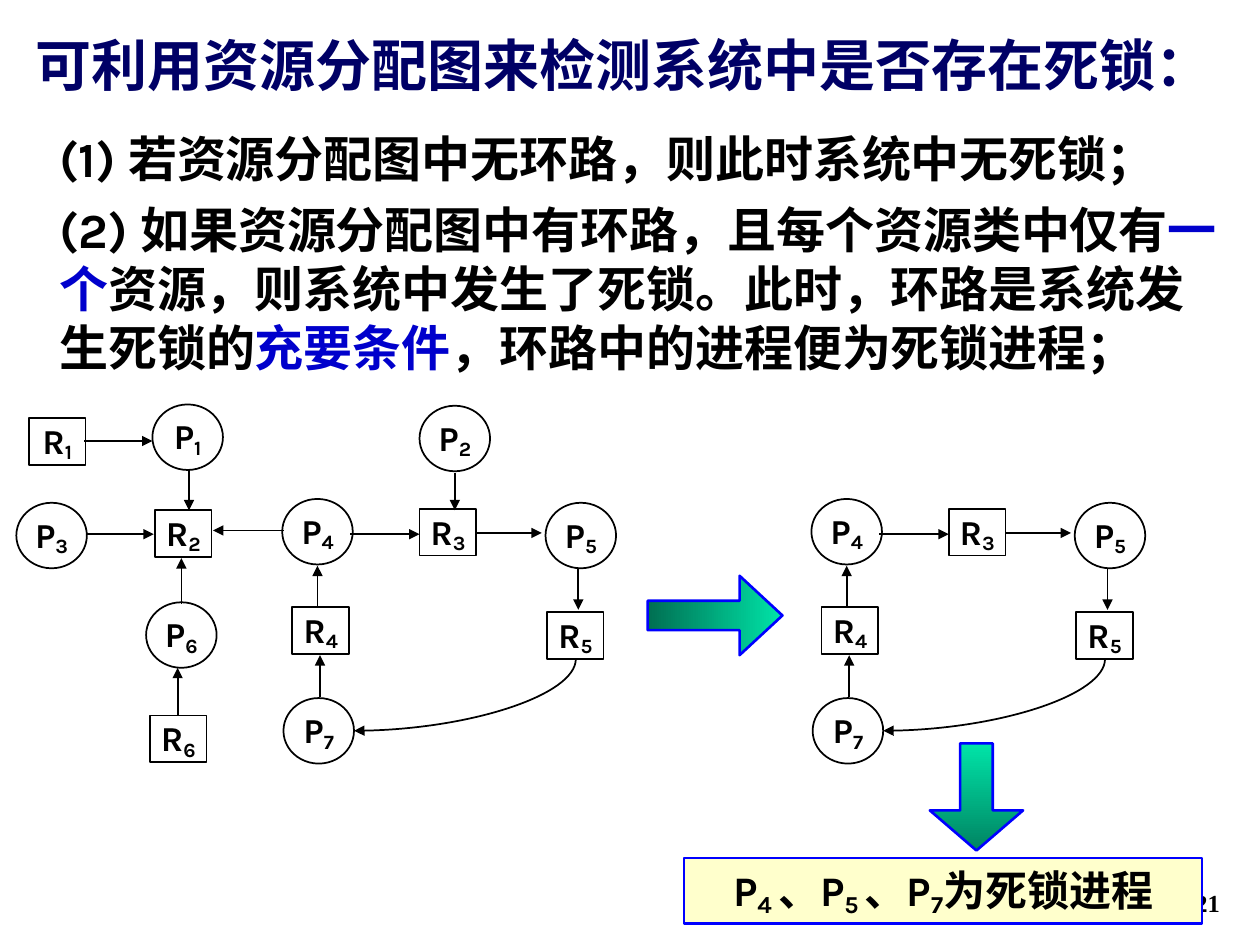
from lxml import etree
from pptx import Presentation
from pptx.dml.color import RGBColor
from pptx.enum.shapes import MSO_CONNECTOR, MSO_SHAPE
from pptx.enum.text import MSO_ANCHOR, MSO_AUTO_SIZE, PP_ALIGN
from pptx.oxml.ns import qn
from pptx.util import Inches, Pt

RECTANGLE, ELLIPSE = MSO_SHAPE.RECTANGLE, MSO_SHAPE.OVAL
RIGHT_ARROW, DOWN_ARROW = MSO_SHAPE.RIGHT_ARROW, MSO_SHAPE.DOWN_ARROW
STRAIGHT, CURVE = MSO_CONNECTOR.STRAIGHT, MSO_CONNECTOR.CURVE
TOP, MIDDLE, BOTTOM = MSO_ANCHOR.TOP, MSO_ANCHOR.MIDDLE, MSO_ANCHOR.BOTTOM
LEFT, CENTER, RIGHT = PP_ALIGN.LEFT, PP_ALIGN.CENTER, PP_ALIGN.RIGHT
NO_AUTOFIT = MSO_AUTO_SIZE.NONE

BLACK, NAVY, BLUE, BORDER = "000000", "000066", "0000CC", "0000FF"

NODES = {
    "R1": (0.23, 3.32), "P1": (1.21, 3.21), "R2": (1.23, 4.05),
    "P2": (3.33, 3.22), "P3": (0.13, 3.99), "P4": (2.24, 3.96),
    "P5": (4.33, 3.99), "P6": (1.16, 4.78), "R3": (3.33, 4.04),
    "R4": (2.32, 4.82), "R5": (4.34, 4.86), "R6": (1.19, 5.68),
    "P7": (2.25, 5.54),
}
EDGES = {
    ("R1", "P1"): (0.67, 3.5, 1.21, 3.5),
    ("P1", "R2"): (1.5, 3.73, 1.5, 4.05),
    ("P3", "R2"): (0.69, 4.24, 1.22, 4.24),
    ("P6", "R2"): (1.44, 4.79, 1.44, 4.43),
    ("P4", "R2"): (2.25, 4.21, 1.69, 4.21),
    ("R4", "P4"): (2.52, 4.82, 2.52, 4.49),
    ("P4", "R3"): (2.78, 4.24, 3.33, 4.24),
    ("R6", "P6"): (1.41, 5.68, 1.41, 5.3),
    ("P7", "R4"): (2.54, 5.53, 2.54, 5.2),
    ("P2", "R3"): (3.61, 3.75, 3.61, 4.05),
    ("R3", "P5"): (3.78, 4.23, 4.3, 4.23),
    ("P5", "R5"): (4.59, 4.51, 4.59, 4.84),
    ("R5", "P7"): (4.57, 5.23, 2.81, 5.8),
}
CYCLE = ("P4", "R3", "P5", "R5", "P7", "R4")
CYCLE_SHIFT = 4.2


def rgb(value):
    return RGBColor.from_string(value)


class SlideBuilder:
    font = "Karla"

    def __init__(self, slide):
        self.slide = slide

    def place(self, shape, left, top, width, height):
        shape.left, shape.top = Inches(left), Inches(top)
        shape.width, shape.height = Inches(width), Inches(height)

    def frame(self, shape, anchor, wrap=True, margins=(0.1, 0.05)):
        frame = shape.text_frame
        frame.auto_size = NO_AUTOFIT
        frame.word_wrap = wrap
        frame.vertical_anchor = anchor
        frame.margin_left = frame.margin_right = Inches(margins[0])
        frame.margin_top = frame.margin_bottom = Inches(margins[1])
        return frame

    def run(self, paragraph, text, size, color=BLACK, subscript=False, font=None):
        run = paragraph.add_run()
        run.text = text
        run.font.name = font or self.font
        run.font.size = Pt(size)
        run.font.bold = True
        run.font.color.rgb = rgb(color)
        if subscript:
            run.font._element.set("baseline", "-16000")

    def title(self, text, *bounds):
        shape = self.slide.shapes.title
        self.place(shape, *bounds)
        paragraph = self.frame(shape, TOP).paragraphs[0]
        paragraph.alignment = LEFT
        self.run(paragraph, text, 32, NAVY)

    def body(self, items, *bounds):
        shape = self.slide.placeholders[1]
        self.place(shape, *bounds)
        frame = self.frame(shape, TOP)
        for index, runs in enumerate(items):
            paragraph = frame.add_paragraph() if index else frame.paragraphs[0]
            paragraph.space_before = Pt(7)
            properties = paragraph._p.get_or_add_pPr()
            properties.set("marL", "0")
            properties.set("indent", "0")
            etree.SubElement(properties, qn("a:buNone"))
            for text, color in runs:
                self.run(paragraph, text, 28, color)

    def page_number(self, text, *bounds):
        shape = self.slide.shapes.add_textbox(*map(Inches, bounds))
        paragraph = self.frame(shape, BOTTOM).paragraphs[0]
        paragraph.alignment = RIGHT
        self.run(paragraph, text, 14, font="Times New Roman")

    def shape(self, kind, bounds, line=BLACK, width=1, fill=None):
        shape = self.slide.shapes.add_shape(kind, *map(Inches, bounds))
        shape.shadow.inherit = False
        shape.line.color.rgb = rgb(line)
        shape.line.width = Pt(width)
        if fill:
            shape.fill.solid()
            shape.fill.fore_color.rgb = rgb(fill)
        else:
            shape.fill.background()
        return shape

    def node(self, name, left, top):
        kind, size = (ELLIPSE, (0.56, 0.52)) if name[0] == "P" else (RECTANGLE, (0.45, 0.37))
        shape = self.shape(kind, (left, top, *size))
        paragraph = self.frame(shape, MIDDLE, False, (0.06, 0.01)).paragraphs[0]
        paragraph.alignment = CENTER
        self.run(paragraph, name[0], 20)
        self.run(paragraph, name[1], 20, subscript=True)

    def edge(self, x1, y1, x2, y2):
        curved = x1 != x2 and y1 != y2
        if curved:
            center_x, center_y = (x1 + x2) / 2, (y1 + y2) / 2
            half_x, half_y = abs(y2 - y1) / 2, abs(x2 - x1) / 2
            x1, x2 = center_x - half_x, center_x + half_x
            y1, y2 = center_y - half_y, center_y + half_y
        connector = self.slide.shapes.add_connector(
            CURVE if curved else STRAIGHT, *map(Inches, (x1, y1, x2, y2)))
        connector.line.color.rgb = rgb(BLACK)
        connector.line.width = Pt(1)
        properties = connector._element.spPr
        if curved:
            properties.find(qn("a:xfrm")).set("rot", "5400000")
            properties.find(qn("a:prstGeom")).set("prst", "curvedConnector2")
        etree.SubElement(properties.find(qn("a:ln")), qn("a:tailEnd"), type="triangle")
        etree.SubElement(properties, qn("a:effectLst"))

    def graph(self, names, shift=0):
        for name, (left, top) in NODES.items():
            if name in names:
                self.node(name, left + shift, top)
        for (source, target), (x1, y1, x2, y2) in EDGES.items():
            if source in names and target in names:
                self.edge(x1 + shift, y1, x2 + shift, y2)

    def block_arrow(self, kind, bounds, adjustments, colors, angle):
        shape = self.shape(kind, bounds, BORDER, 1.5)
        for index, value in enumerate(adjustments):
            shape.adjustments[index] = value
        shape.fill.gradient()
        shape.fill.gradient_angle = angle
        for position, (stop, color) in enumerate(zip(shape.fill.gradient_stops, colors)):
            stop.position = position
            stop.color.rgb = rgb(color)

    def conclusion(self, runs, *bounds):
        shape = self.shape(RECTANGLE, bounds, BORDER, 1.5, "FFFFCC")
        paragraph = self.frame(shape, TOP).paragraphs[0]
        paragraph.alignment = CENTER
        for text, subscript in runs:
            self.run(paragraph, text, 24, subscript=subscript)


def main():
    presentation = Presentation()
    presentation.slide_width, presentation.slide_height = Inches(10), Inches(7.5)
    builder = SlideBuilder(presentation.slides.add_slide(presentation.slide_layouts[1]))

    builder.title("可利用资源分配图来检测系统中是否存在死锁：", 0.18, 0.19, 9.82, 0.63)
    builder.body([
        [("(1) 若资源分配图中无环路，则此时系统中无死锁；", BLACK)],
        [("(2) 如果资源分配图中有环路，且每个资源类中仅有", BLACK),
         ("一个", BLUE),
         ("资源，则系统中发生了死锁。此时，环路是系统发生死锁的", BLACK),
         ("充要条件", BLUE),
         ("，环路中的进程便为死锁进程；", BLACK)],
    ], 0.37, 0.97, 9.4, 2.09)
    builder.page_number("121", 7.7, 6.83, 2.08, 0.5)

    builder.graph(NODES)
    builder.graph(CYCLE, CYCLE_SHIFT)
    builder.block_arrow(RIGHT_ARROW, (5.14, 4.57, 1.07, 0.63), (0.37, 0.54),
                        ("006F52", "00E4A8"), 0)
    builder.block_arrow(DOWN_ARROW, (7.38, 5.9, 0.74, 0.85), (0.35, 0.43),
                        ("00E4A8", "008462"), 270)
    builder.conclusion([
        ("P", False), ("4 ", True), ("、P", False), ("5 ", True),
        ("、P", False), ("7", True), ("为死锁进程", False),
    ], 5.43, 6.81, 4.11, 0.52)

    presentation.save("out.pptx")


if __name__ == "__main__":
    main()
